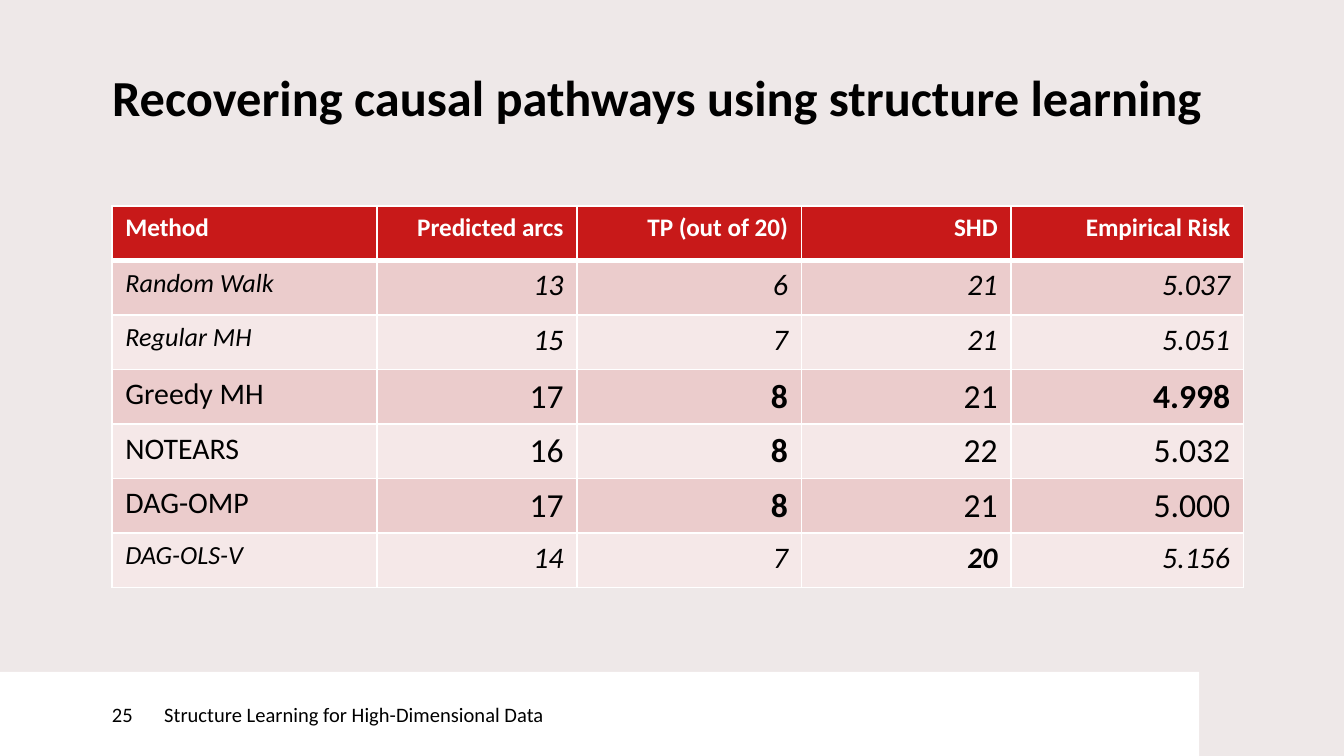
from lxml.etree import SubElement
from pptx import Presentation
from pptx.dml.color import RGBColor
from pptx.enum.shapes import MSO_SHAPE
from pptx.enum.text import MSO_ANCHOR, MSO_AUTO_SIZE, PP_ALIGN
from pptx.oxml.ns import qn
from pptx.util import Pt

COLORS = {
    "background": "EEE8E8",
    "text": "000000",
    "white": "FFFFFF",
    "header": "C81919",
    "odd_row": "EBCCCC",
    "even_row": "F5E8E8",
}
FONT = "Calibri"
LEFT_MARGIN = 60

HEADER = ["Method", "Predicted arcs", "TP (out of 20)", "SHD", "Empirical Risk"]
RESULTS = [
    ["Random Walk", "13", "6", "21", "5.037"],
    ["Regular MH", "15", "7", "21", "5.051"],
    ["Greedy MH", "17", "8", "21", "4.998"],
    ["NOTEARS", "16", "8", "22", "5.032"],
    ["DAG-OMP", "17", "8", "21", "5.000"],
    ["DAG-OLS-V", "14", "7", "20", "5.156"],
]
MAIN_METHODS = {"Greedy MH", "NOTEARS", "DAG-OMP"}
BEST_VALUES = {(2, "8"), (3, "20"), (4, "4.998")}  # column, value
COLUMN_WIDTHS = [141.84, 107.28, 120.24, 112.32, 124.56]
ROW_HEIGHT = 29.2


class SlideBuilder:
    def __init__(self, slide):
        self.slide = slide

    def color(self, name):
        return RGBColor.from_string(COLORS[name])

    def background(self, color):
        fill = self.slide.background.fill
        fill.solid()
        fill.fore_color.rgb = self.color(color)

    def style(self, paragraph, size, color="text", bold=False, italic=False,
              align=PP_ALIGN.LEFT):
        paragraph.alignment = align
        font = paragraph.font
        font.name, font.size = FONT, Pt(size)
        font.bold, font.italic = bold, italic
        font.color.rgb = self.color(color)

    def set_margins(self, frame, left=0):
        frame.margin_left = Pt(left)
        frame.margin_right = frame.margin_top = frame.margin_bottom = 0

    def title(self, text, left, top, width, height):
        shape = self.slide.shapes.title
        shape.left, shape.top = Pt(left), Pt(top)
        shape.width, shape.height = Pt(width), Pt(height)
        frame = shape.text_frame
        frame.text = text
        frame.word_wrap = True
        frame.auto_size = MSO_AUTO_SIZE.NONE
        frame.vertical_anchor = MSO_ANCHOR.TOP
        self.set_margins(frame)
        paragraph = frame.paragraphs[0]
        paragraph.line_spacing = Pt(27)
        self.style(paragraph, 27, bold=True)

    def footer_box(self, text, left, width, indent=0):
        shape = self.slide.shapes.add_shape(
            MSO_SHAPE.RECTANGLE, Pt(left), Pt(360), Pt(width), Pt(45))
        shape.shadow.inherit = False
        shape.fill.solid()
        shape.fill.fore_color.rgb = self.color("white")
        shape.line.fill.background()
        frame = shape.text_frame
        frame.text = text
        frame.word_wrap = True
        frame.vertical_anchor = MSO_ANCHOR.MIDDLE
        self.set_margins(frame, indent)
        self.style(frame.paragraphs[0], 11)

    def borders(self, cell, top, bottom):
        properties = cell._tc.get_or_add_tcPr()
        for side, width in (("L", 1), ("R", 1), ("T", top), ("B", bottom)):
            line = SubElement(properties, qn(f"a:ln{side}"), w=str(Pt(width)))
            fill = SubElement(line, qn("a:solidFill"))
            SubElement(fill, qn("a:srgbClr"), val=COLORS["white"])

    def cell(self, cell, text, fill, top=1, bottom=1, **style):
        cell.text = text
        self.borders(cell, top, bottom)
        cell.fill.solid()
        cell.fill.fore_color.rgb = self.color(fill)
        self.style(cell.text_frame.paragraphs[0], **style)

    def results_table(self, left, top):
        row_count = len(RESULTS) + 1
        table = self.slide.shapes.add_table(
            row_count, len(HEADER), Pt(left), Pt(top),
            Pt(sum(COLUMN_WIDTHS)), Pt(ROW_HEIGHT * row_count)).table
        for column, width in zip(table.columns, COLUMN_WIDTHS):
            column.width = Pt(width)
        for row in table.rows:
            row.height = Pt(ROW_HEIGHT)

        for c, heading in enumerate(HEADER):
            align = PP_ALIGN.RIGHT if c else PP_ALIGN.LEFT
            self.cell(table.cell(0, c), heading, "header", bottom=3,
                      size=13.5, color="white", bold=True, align=align)
            for r, result in enumerate(RESULTS, start=1):
                main = result[0] in MAIN_METHODS
                self.cell(table.cell(r, c), result[c],
                          "odd_row" if r % 2 else "even_row",
                          top=3 if r == 1 else 1,
                          size=(16 if main else 14) + (2 if c else 0),
                          bold=(c, result[c]) in BEST_VALUES,
                          italic=not main, align=align)


def main():
    presentation = Presentation()
    presentation.slide_width, presentation.slide_height = Pt(720), Pt(405)
    title_only = presentation.slide_layouts[5]
    builder = SlideBuilder(presentation.slides.add_slide(title_only))

    # Background and title
    builder.background("background")
    builder.title("Recovering causal pathways using structure learning",
                  LEFT_MARGIN, 41, 595, 42.5)

    # Footer with page number
    builder.footer_box("Structure Learning for High-Dimensional Data", 88, 554.5)
    builder.footer_box("25", 0, 88, indent=LEFT_MARGIN)

    # Comparison of methods
    builder.results_table(LEFT_MARGIN, 110.4)

    presentation.save("out.pptx")


if __name__ == "__main__":
    main()
